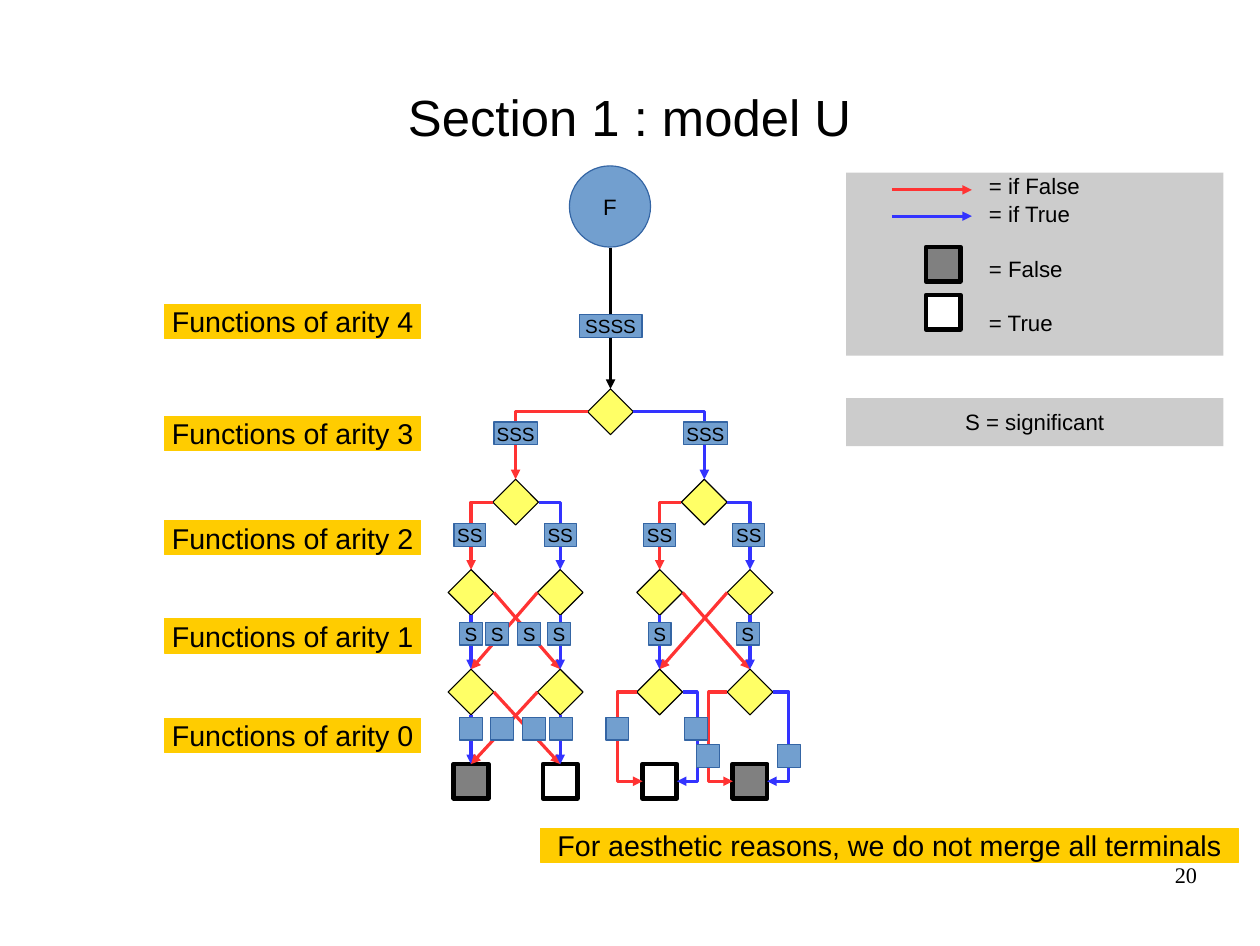
"""Build the slide showing the decision diagram of model U."""
import lxml.etree
import pptx
import pptx.dml.color
import pptx.enum.shapes
import pptx.enum.text
import pptx.oxml.ns
import pptx.util

Inches = pptx.util.Inches
Pt = pptx.util.Pt
qn = pptx.oxml.ns.qn
PRESET = pptx.enum.shapes.MSO_SHAPE
ROUTE = pptx.enum.shapes.MSO_CONNECTOR
ALIGN = pptx.enum.text.PP_ALIGN
ANCHOR = pptx.enum.text.MSO_ANCHOR

COLORS = {
    "black": "000000", "white": "FFFFFF", "dark": "808080", "panel": "CCCCCC",
    "node": "FFFF66", "chip": "729FCF", "chip_edge": "3465A4", "label": "FFCC00",
    "if_false": "FF3333", "if_true": "3333FF",
}
TOP, LEFT, BOTTOM, RIGHT = range(4)
NODE = 0.4
TERMINAL = 0.3
CHIP = 0.2
COLUMNS = (4.12, 4.9, 5.77, 6.56)
LEVELS = (
    (3.4, (5.34,)),
    (4.19, (4.51, 6.16)),
    (4.98, COLUMNS),
    (5.85, COLUMNS),
)
CHIPS = (
    ("SSSS", 0.55, 2.75, (5.34,)),
    ("SSS", 0.38, 3.69, (4.51, 6.17)),
    ("SS", 0.28, 4.58, (4.11, 4.9, 5.77, 6.55)),
    ("S", CHIP, 5.44, (4.12, 4.35, 4.63, 4.89, 5.77, 6.54)),
    ("", CHIP, 6.27, (4.12, 4.39, 4.67, 4.91, 5.4, 6.09)),
    ("", CHIP, 6.51, (6.19, 6.9)),
)
ARITY_TOPS = {4: 2.66, 3: 3.64, 2: 4.55, 1: 5.41, 0: 6.28}


def rgb(name):
    """Return the named colour."""
    return pptx.dml.color.RGBColor.from_string(COLORS[name])


def apply(target, values):
    """Set each attribute in values on target."""
    for name, value in values.items():
        setattr(target, name, value)


def write(frame, lines, size, align=ALIGN.CENTER, font="Arial"):
    """Put lines of text in a frame and return its paragraphs."""
    frame.text = "\n".join(lines)
    for paragraph in frame.paragraphs:
        paragraph.alignment = align
        apply(paragraph.font, {"size": Pt(size), "name": font})
        paragraph.font.color.rgb = rgb("black")
    return frame.paragraphs


def add_block(slide, preset, box, fill, edge=None, weight=0, text="", size=12):
    """Add a filled preset shape, with centred text if any."""
    block = slide.shapes.add_shape(preset, *map(Inches, box))
    block.shadow.inherit = False
    block.fill.solid()
    block.fill.fore_color.rgb = rgb(fill)
    if edge:
        block.line.color.rgb = rgb(edge)
        block.line.width = Pt(weight)
    else:
        block.line.fill.background()
    if text:
        apply(block.text_frame, {"word_wrap": False, "vertical_anchor": ANCHOR.MIDDLE})
        write(block.text_frame, [text], size)
    return block


def add_terminal(slide, left, top, fill):
    """Add a thick-edged terminal square."""
    box = (left, top, TERMINAL, TERMINAL)
    return add_block(slide, PRESET.RECTANGLE, box, fill, "black", 3)


def add_arrow(slide, color, start=(0, 0), end=(0, 0), route=ROUTE.STRAIGHT):
    """Add a hairline arrow from start to end."""
    arrow = slide.shapes.add_connector(route, *map(Inches, start + end))
    arrow.line.color.rgb = rgb(color)
    arrow.line.width = Pt(0)
    line = arrow.line._ln
    lxml.etree.SubElement(line, qn("a:tailEnd")).set("type", "triangle")
    lxml.etree.SubElement(arrow._element.spPr, qn("a:effectLst"))
    return arrow


def link(slide, color, source, source_site, target, target_site, route=ROUTE.STRAIGHT):
    """Add an arrow glued to two shapes."""
    arrow = add_arrow(slide, color, route=route)
    arrow.begin_connect(source, source_site)
    arrow.end_connect(target, target_site)
    return arrow


def branch(slide, parent, children):
    """Join a node to its two children with right-angled arrows."""
    for color, site, child in zip(("if_false", "if_true"), (LEFT, RIGHT), children):
        arrow = link(slide, color, parent, site, child, TOP, ROUTE.ELBOW)
        arrow._element.spPr.find(qn("a:prstGeom")).set("prst", "bentConnector2")


def cross(slide, parents, children):
    """Join two nodes straight down if true and crosswise if false."""
    for parent, child, other, site in zip(parents, children, children[::-1], (RIGHT, LEFT)):
        link(slide, "if_true", parent, BOTTOM, child, TOP)
        link(slide, "if_false", parent, site, other, TOP)


def loop(slide, node, terminal, turns):
    """Join a node to both sides of its terminal around the given turns."""
    for color, site, turn in zip(("if_false", "if_true"), (LEFT, RIGHT), turns):
        arrow = link(slide, color, node, site, terminal, site, ROUTE.ELBOW)
        bend = (Inches(turn) - arrow.begin_x) / (arrow.end_x - arrow.begin_x)
        adjustments = arrow._element.spPr.find(qn("a:prstGeom")).get_or_add_avLst()
        guide = lxml.etree.SubElement(adjustments, qn("a:gd"))
        guide.set("name", "adj1")
        guide.set("fmla", f"val {round(bend * 100000)}")


def add_diagram(slide):
    """Draw the tree of nodes, terminals, arrows and significance chips."""
    add_block(slide, PRESET.OVAL, (4.98, 1.45, 0.71, 0.71), "chip", "chip_edge", text="F", size=14)
    levels = [
        [add_block(slide, PRESET.DIAMOND, (x - NODE / 2, top, NODE, NODE), "node", "black")
         for x in centers]
        for top, centers in LEVELS
    ]
    root, arity3, arity2, arity1 = levels
    terminals = [
        add_terminal(slide, x - TERMINAL / 2, 6.68, fill)
        for x, fill in zip(COLUMNS, ("dark", "white", "white", "dark"))
    ]
    add_arrow(slide, "black", (5.34, 2.17), (5.34, 3.4))
    branch(slide, root[0], arity3)
    for index, parent in enumerate(arity3):
        pair = slice(2 * index, 2 * index + 2)
        branch(slide, parent, arity2[pair])
        cross(slide, arity2[pair], arity1[pair])
    cross(slide, arity1[:2], terminals[:2])
    loop(slide, arity1[2], terminals[2], (5.4, 6.1))
    loop(slide, arity1[3], terminals[3], (6.2, 6.9))
    for text, width, top, centers in CHIPS:
        for x in centers:
            box = (x - width / 2, top, width, CHIP)
            add_block(slide, PRESET.RECTANGLE, box, "chip", "chip_edge", text=text)


def add_legend(slide):
    """Draw the key to arrows, terminals and the letter S."""
    legend = add_block(slide, PRESET.RECTANGLE, (7.4, 1.51, 3.3, 1.6), "panel")
    apply(legend.text_frame, {
        "word_wrap": True, "vertical_anchor": ANCHOR.TOP,
        "margin_left": Inches(1.25), "margin_top": Inches(0),
    })
    meanings = write(legend.text_frame, ["= if False", "= if True", "= False", "= True"],
                     14, ALIGN.LEFT)
    for meaning, gap in zip(meanings[1:], (0.7, 17.4, 17.4)):
        meaning.space_before = Pt(gap)
    for color, y in (("if_false", 1.66), ("if_true", 1.89)):
        add_arrow(slide, color, (7.8, y), (8.5, y))
    for fill, top in (("dark", 2.16), ("white", 2.58)):
        add_terminal(slide, 8.1, top, fill)
    add_block(slide, PRESET.RECTANGLE, (7.4, 3.48, 3.3, 0.42), "panel",
              text="S = significant", size=14)


def add_label(slide, box, text):
    """Add a yellow label."""
    add_block(slide, PRESET.RECTANGLE, box, "label", "label", text=text, size=18)


def add_title(slide, text):
    """Place and fill the title placeholder."""
    title = slide.shapes.title
    apply(title, {"left": Inches(0.55), "top": Inches(0.33),
                  "width": Inches(9.92), "height": Inches(1.38)})
    apply(title.text_frame, {
        "margin_left": 0, "margin_top": 0, "margin_right": 0, "margin_bottom": 0,
        "vertical_anchor": ANCHOR.MIDDLE,
    })
    write(title.text_frame, [text], 32)


def add_page_number(slide, number):
    """Add the page number at the lower right."""
    page = slide.shapes.add_textbox(*map(Inches, (7.9, 7.53, 2.57, 0.57))).text_frame
    apply(page, {"word_wrap": True, "margin_left": 0, "margin_top": 0,
                 "margin_right": 0, "margin_bottom": 0})
    write(page, [number], 14, ALIGN.RIGHT, "Times New Roman")


def main():
    """Build and save the slide."""
    deck = pptx.Presentation()
    apply(deck, {"slide_width": Inches(11.02), "slide_height": Inches(8.27)})
    slide = deck.slides.add_slide(deck.slide_layouts[5])
    add_title(slide, "Section 1 : model U")
    add_diagram(slide)
    add_legend(slide)
    for arity, top in ARITY_TOPS.items():
        add_label(slide, (1.44, top, 2.24, 0.3), f"Functions of arity {arity}")
    add_label(slide, (4.73, 7.24, 6.1, 0.3),
              "For aesthetic reasons, we do not merge all terminals")
    add_page_number(slide, "20")
    deck.save("out.pptx")


if __name__ == "__main__":
    main()
